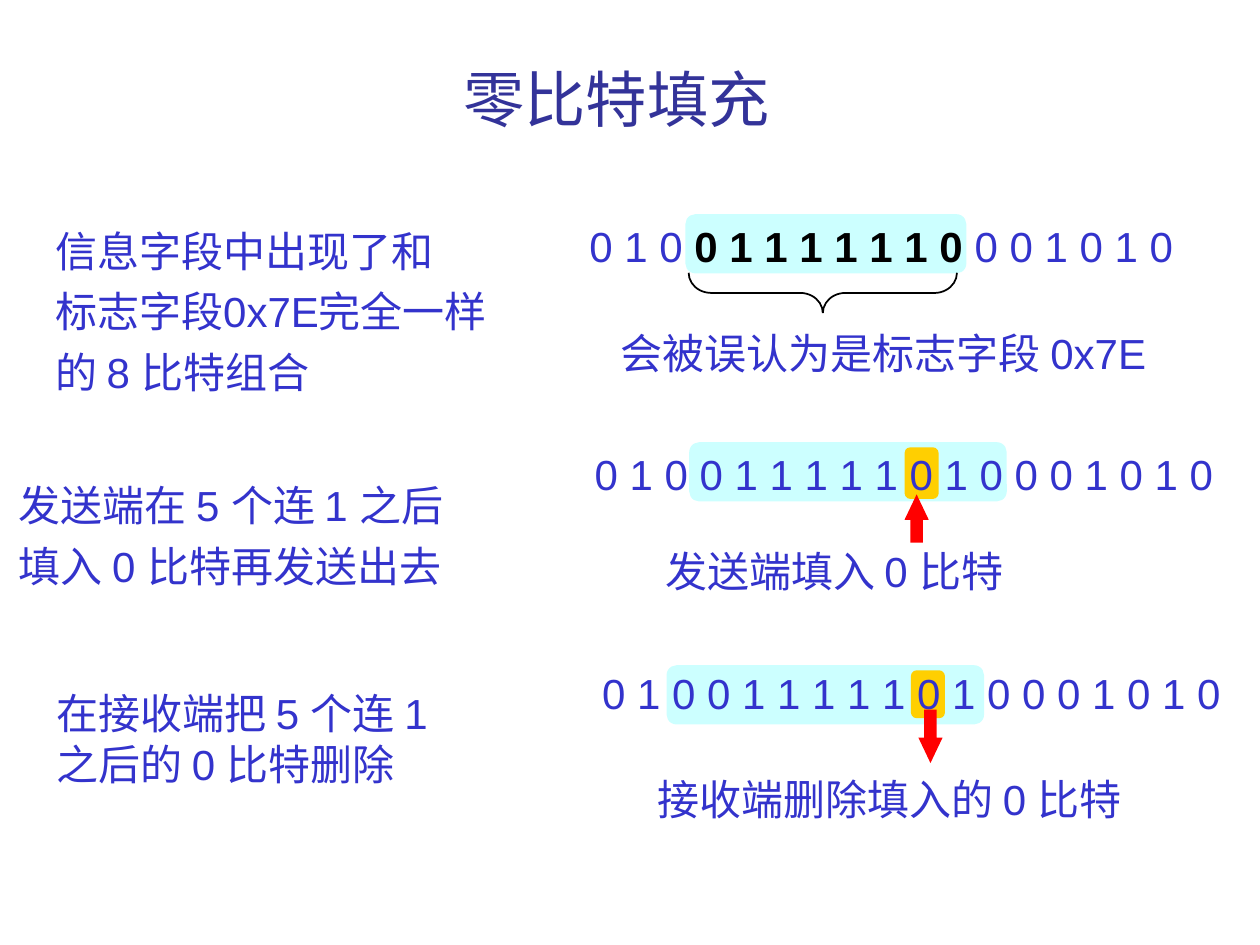
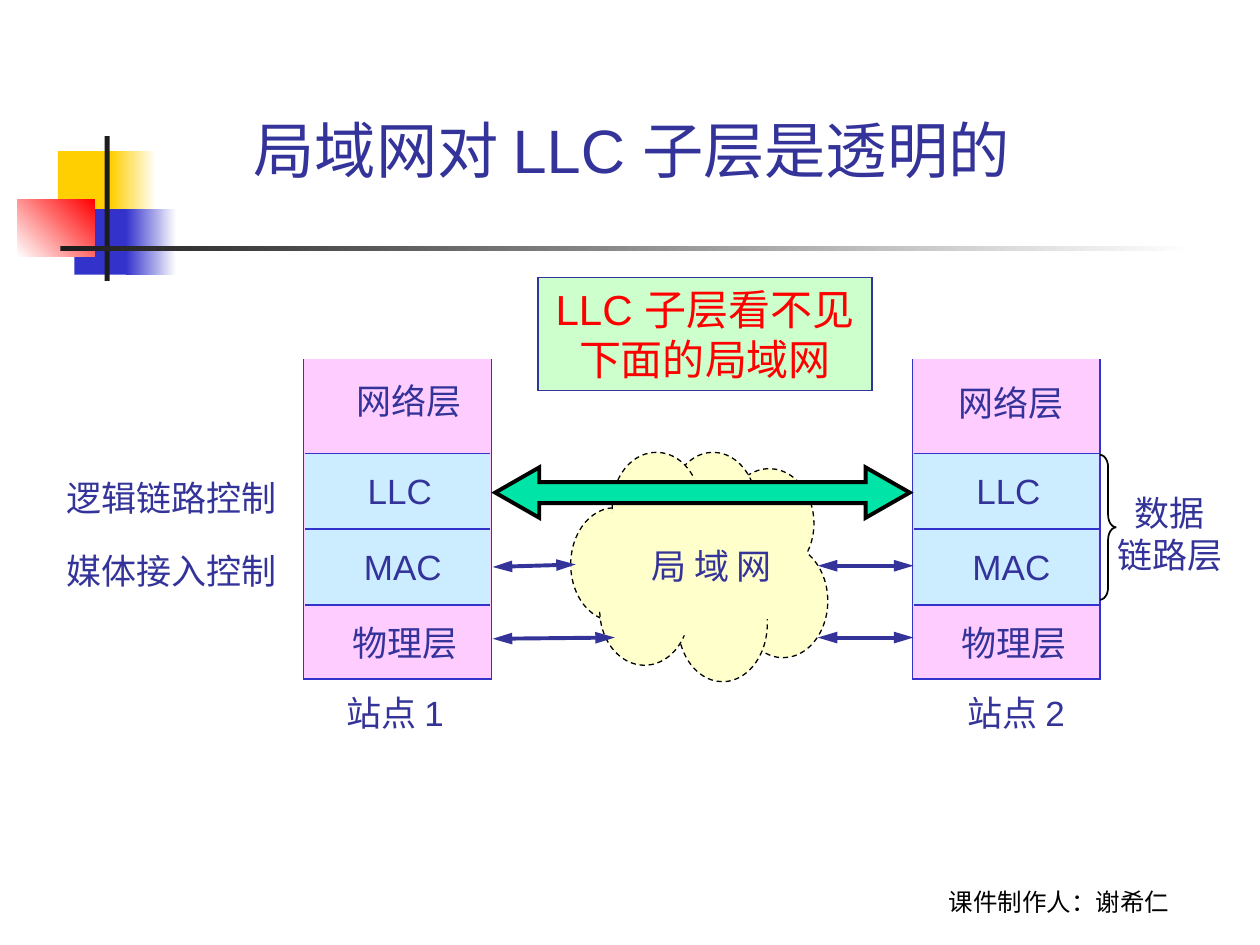
from lxml import etree
from pptx import Presentation
from pptx.dml.color import RGBColor
from pptx.enum.shapes import MSO_CONNECTOR, MSO_SHAPE
from pptx.enum.dml import MSO_LINE
from pptx.enum.text import MSO_ANCHOR, MSO_AUTO_SIZE, PP_ALIGN
from pptx.oxml.ns import qn
from pptx.util import Inches, Pt

RECT, ROUND, OVAL = MSO_SHAPE.RECTANGLE, MSO_SHAPE.ROUNDED_RECTANGLE, MSO_SHAPE.OVAL
UP, DOWN = MSO_SHAPE.UP_ARROW, MSO_SHAPE.DOWN_ARROW
BRACE, DOUBLE_ARROW = MSO_SHAPE.RIGHT_BRACE, MSO_SHAPE.LEFT_RIGHT_ARROW
STRAIGHT, DASH = MSO_CONNECTOR.STRAIGHT, MSO_LINE.DASH
LEFT, CENTER = PP_ALIGN.LEFT, PP_ALIGN.CENTER
TOP, BOTTOM = MSO_ANCHOR.TOP, MSO_ANCHOR.BOTTOM
FIT_SHAPE = MSO_AUTO_SIZE.SHAPE_TO_FIT_TEXT

BLUE = RGBColor(0x33, 0x33, 0xCC)
NAVY = RGBColor(0x33, 0x33, 0x99)
BLACK = RGBColor(0, 0, 0)
CHARCOAL = RGBColor(0x1C, 0x1C, 0x1C)
WHITE = RGBColor(0xFF, 0xFF, 0xFF)
RED = RGBColor(0xFF, 0, 0)
GOLD = RGBColor(0xFF, 0xCF, 0x01)
AQUA = RGBColor(0xCC, 0xFF, 0xFF)
PINK = RGBColor(0xFF, 0xCC, 0xFF)
SKY = RGBColor(0xCC, 0xEC, 0xFF)
CREAM = RGBColor(0xFF, 0xFF, 0xCC)
MINT = RGBColor(0xCC, 0xFF, 0xCC)
GREEN = RGBColor(0x00, 0xE4, 0xA8)

BODY_FONT, TITLE_FONT = "Arial", "Lato"
TITLE_SIZE = 35
SLACK = 0.04  # spare width that keeps tight one-line texts on one line

# ---- Content: zero-bit stuffing (boxes are left, top, width, height) ----
STUFFING_TITLE = "零比特填充"
EXPLANATIONS = [  # lines, box, line spacing
    (["信息字段中出现了和", "标志字段0x7E完全一样", "的 8 比特组合"],
     (0.34, 1.66, 3.79, 1.54), 1.2),
    (["发送端在 5 个连 1 之后", "填入 0 比特再发送出去"], (0.05, 3.68, 3.89, 1.06), 1.2),
    (["在接收端把 5 个连 1", "之后的 0 比特删除"], (0.35, 5.41, 3.38, 0.9), None),
]
STUFFED_BITS = "0 1 0 0 1 1 1 1 1 0 1 0 0 0 1 0 1 0"
CONFUSED_BITS = ["0 1 0 ", "0 1 1 1 1 1 1 0", " 0 0 1 0 1 0"]
BIT_ROWS = [
    {"bits": CONFUSED_BITS, "at": (4.58, 1.7, 4.83, 0.5),
     "field": (5.44, 1.7, 2.23, 0.47), "stuffed": None, "arrow": None,
     "caption": "会被误认为是标志字段 0x7E", "caption_at": (4.83, 2.55, 4.45, 0.5)},
    {"bits": [STUFFED_BITS], "at": (4.62, 3.51, 5.11, 0.5),
     "field": (5.47, 3.51, 2.52, 0.47), "stuffed": (7.18, 3.55, 0.27, 0.41),
     "arrow": (UP, 7.19, 3.94, 0.17, 0.36),
     "caption": "发送端填入 0 比特", "caption_at": (5.18, 4.28, 3.04, 0.5)},
    {"bits": [STUFFED_BITS], "at": (4.68, 5.25, 5.11, 0.5),
     "field": (5.29, 5.28, 2.52, 0.47), "stuffed": (7.23, 5.32, 0.27, 0.38),
     "arrow": (DOWN, 7.3, 5.64, 0.17, 0.4),
     "caption": "接收端删除填入的 0 比特", "caption_at": (5.12, 6.09, 4.04, 0.5)},
]
FLAG_BRACE = (6.37, 1.26, 0.32, 2.13)

# ---- Content: LLC transparency ----
LLC_TITLE = "局域网对 LLC 子层是透明的"
FOOTER = "课件制作人：谢希仁"
LLC_NOTE = ["LLC 子层看不见", "下面的局域网"]
STATIONS = [  # column left, then text and position of each label
    (2.41, [("网络层", 2.73, 2.96, 1.03), ("LLC", 2.82, 3.68, 0.71),
            ("MAC", 2.79, 4.28, 0.82), ("物理层", 2.7, 4.88, 1.03),
            ("站点 1", 2.65, 5.44, 1.04)]),
    (7.24, [("网络层", 7.51, 2.98, 1.03), ("LLC", 7.65, 3.68, 0.71),
            ("MAC", 7.62, 4.28, 0.82), ("物理层", 7.53, 4.88, 1.03),
            ("站点 2", 7.58, 5.44, 1.04)]),
]
COLUMN_TOP, COLUMN_WIDTH, COLUMN_HEIGHT = 2.85, 1.49, 2.54
BAND_TOP, LAYER_HEIGHT = 3.6, 0.6
SIDE_LABELS = [("逻辑链路控制", 0.43, 3.73, 1.87), ("媒体接入控制", 0.43, 4.31, 1.87)]
LAN_LABEL = ("局 域 网", 5.07, 4.27, 1.16)
LINK_LAYER = ["数据", "链路层"]
CLOUD_PUFFS = [
    (5.86, 4.32, 0.71, 0.9), (4.53, 4.03, 0.7, 0.9), (5.75, 3.72, 0.71, 0.87),
    (5.38, 4.49, 0.71, 0.92), (4.76, 4.41, 0.71, 0.87), (5.31, 3.59, 0.7, 0.9),
    (4.86, 3.59, 0.7, 0.86),
]
CLOUD_CORE = (4.71, 3.8, 1.7, 1.25)
CLOUD_PATCH = [(4.78, 4.64), (4.82, 4.68), (4.78, 4.87), (4.74, 4.84)]
LAN_LINKS = [
    (3.91, 5.07, 4.88, 5.06), (7.25, 5.06, 6.49, 5.06),
    (3.91, 4.5, 4.57, 4.48), (7.25, 4.49, 6.49, 4.49),
]
ORNAMENT = [  # box, start colour, end colour, angle
    ((0.46, 1.2, 0.48, 0.52), GOLD, None, 0),
    ((0.88, 1.2, 0.36, 0.52), GOLD, WHITE, 0),
    ((0.59, 1.66, 0.46, 0.52), BLUE, None, 0),
    ((1, 1.66, 0.4, 0.52), BLUE, WHITE, 0),
    ((0.14, 1.58, 0.61, 0.46), WHITE, RED, 45),
    ((0.83, 1.08, 0.04, 1.15), CHARCOAL, None, 0),
    ((0.48, 1.95, 9, 0.04), CHARCOAL, WHITE, 0),
]


# ---- Drawing helpers ----
def inches(values):
    return [Inches(value) for value in values]


def add_to_line(shape, tag, **attributes):
    outline = shape.element.spPr.find(qn("a:ln"))
    etree.SubElement(outline, qn(tag), **attributes)


def paint(shape, fill=None, line=None, width=1):
    shape.shadow.inherit = False
    if fill is None:
        shape.fill.background()
    else:
        shape.fill.solid()
        shape.fill.fore_color.rgb = fill
    if line is None:
        shape.line.fill.background()
    else:
        shape.line.color.rgb = line
        shape.line.width = Pt(width)
        add_to_line(shape, "a:miter", lim="800000")
    return shape


def add_shape(slide, kind, box, fill=None, line=None, width=1, adjust=()):
    shape = slide.shapes.add_shape(kind, *inches(box))
    for index, value in enumerate(adjust):
        shape.adjustments[index] = value
    return paint(shape, fill, line, width)


def add_outline(slide, points, fill, line=None, width=1, close=True):
    start, *rest = [inches(point) for point in points]
    builder = slide.shapes.build_freeform(*start)
    builder.add_line_segments(rest, close=close)
    return paint(builder.convert_to_shape(), fill, line, width)


def add_line(slide, ends, color, width, arrows=False):
    connector = slide.shapes.add_connector(STRAIGHT, *inches(ends))
    connector.line.color.rgb = color
    connector.line.width = Pt(width)
    etree.SubElement(connector.element.spPr, qn("a:effectLst"))
    if arrows:
        for end in ("a:headEnd", "a:tailEnd"):
            add_to_line(connector, end, type="triangle", w="med", len="lg")
    return connector


def write(shape, lines, size, color, align=LEFT, font=BODY_FONT, spacing=None,
          anchor=TOP, wrap=False):
    frame = shape.text_frame
    frame.text = "\n".join(lines)
    frame.word_wrap = wrap
    frame.vertical_anchor = anchor
    if not wrap:
        frame.auto_size = FIT_SHAPE
    for paragraph in frame.paragraphs:
        paragraph.alignment = align
        if spacing:
            paragraph.line_spacing = spacing
        for run in paragraph.runs:
            style(run, size, color, font)


def style(run, size, color, font=BODY_FONT, bold=False):
    run.font.size = Pt(size)
    run.font.name = font
    run.font.color.rgb = color
    run.font.bold = bold


def add_text(slide, lines, box, size, color, **options):
    left, top, width, height = box
    textbox = slide.shapes.add_textbox(*inches((left, top, width + SLACK, height)))
    write(textbox, lines, size, color, **options)


def add_label(slide, text, left, top, width):
    add_text(slide, [text], (left, top, width, 0.43), 20, NAVY)


def add_title(slide, text, box, **options):
    add_text(slide, [text], box, TITLE_SIZE, NAVY, wrap=True, **options)


# ---- Slide 1 ----
def add_bit_row(slide, row):
    add_shape(slide, ROUND, row["field"], AQUA)
    if row["stuffed"]:
        add_shape(slide, ROUND, row["stuffed"], GOLD)
    bits = slide.shapes.add_textbox(*inches(row["at"])).text_frame
    bits.word_wrap = False
    bits.auto_size = FIT_SHAPE
    for index, part in enumerate(row["bits"]):
        run = bits.paragraphs[0].add_run()
        run.text = part
        is_flag = index == 1
        style(run, 24, BLACK if is_flag else BLUE, bold=is_flag)
    if row["arrow"]:
        kind, *box = row["arrow"]
        add_shape(slide, kind, box, RED, RED, 1, (0.5, 1.05))
    add_text(slide, [row["caption"]], row["caption_at"], 24, BLUE)


def build_stuffing(slide):
    for row in BIT_ROWS:
        add_bit_row(slide, row)
    for lines, box, spacing in EXPLANATIONS:
        add_text(slide, lines, box, 24, BLUE, spacing=spacing)
    add_shape(slide, BRACE, FLAG_BRACE, line=BLACK, adjust=(0.56, 0.5)).rotation = 90
    add_title(slide, STUFFING_TITLE, (3.58, 0.44, 3.07, 0.69), font=TITLE_FONT)


# ---- Slide 2 ----
def add_ornament(slide):
    for box, start, end, angle in ORNAMENT:
        block = add_shape(slide, RECT, box, start)
        if end is not None:
            block.fill.gradient()
            block.fill.gradient_angle = angle
            for stop, color in zip(block.fill.gradient_stops, (start, end)):
                stop.color.rgb = color


def add_station(slide, left, labels):
    right, bottom = left + COLUMN_WIDTH, COLUMN_TOP + COLUMN_HEIGHT
    walls = [(left, COLUMN_TOP), (left, bottom), (right, bottom), (right, COLUMN_TOP)]
    add_outline(slide, walls, PINK, BLUE, 0.75, close=False)
    inner_left, inner_right = left + 0.01, right - 0.01
    band = add_shape(slide, RECT, (inner_left, BAND_TOP, inner_right - inner_left,
                                   2 * LAYER_HEIGHT), SKY)
    for index in range(3):
        y = BAND_TOP + index * LAYER_HEIGHT
        divider = add_line(slide, (inner_left, y, inner_right, y), BLUE, 1)
        if index == 1:
            divider.begin_connect(band, 1)
            divider.end_connect(band, 3)
    for label in labels:
        add_label(slide, *label)


def add_cloud(slide):
    for puff in CLOUD_PUFFS:
        add_shape(slide, OVAL, puff, CREAM, BLACK, 0.75).line.dash_style = DASH
    add_shape(slide, OVAL, CLOUD_CORE, CREAM)
    add_outline(slide, CLOUD_PATCH, CREAM)
    add_label(slide, *LAN_LABEL)


def build_llc(slide):
    add_ornament(slide)
    add_text(slide, [FOOTER], (6.81, 6.82, 3.15, 0.5), 14, BLACK, align=CENTER,
             font=TITLE_FONT, anchor=BOTTOM, wrap=True)
    add_title(slide, LLC_TITLE, (0.9, 0.97, 8.19, 0.55), align=CENTER, anchor=BOTTOM)
    for left, labels in STATIONS:
        add_station(slide, left, labels)
    add_cloud(slide)
    for ends in LAN_LINKS:
        add_line(slide, ends, NAVY, 2.25, arrows=True)
    for label in SIDE_LABELS:
        add_label(slide, *label)
    add_shape(slide, DOUBLE_ARROW, (3.93, 3.71, 3.29, 0.4), GREEN, BLACK, 2.25,
              (0.417, 0.875))
    add_shape(slide, BRACE, (8.73, 3.61, 0.13, 1.15), line=BLACK, adjust=(0.75, 0.5))
    add_text(slide, LINK_LAYER, (8.75, 3.85, 1.03, 0.76), 20, NAVY, align=CENTER)
    note = add_shape(slide, RECT, (4.27, 2.2, 2.65, 0.9), MINT, NAVY, 0.75)
    write(note, LLC_NOTE, 24, RED, align=CENTER)


def main():
    deck = Presentation()
    deck.slide_width, deck.slide_height = Inches(10), Inches(7.5)
    blank = deck.slide_layouts[6]
    for build in (build_stuffing, build_llc):
        build(deck.slides.add_slide(blank))
    deck.save("out.pptx")


if __name__ == "__main__":
    main()
